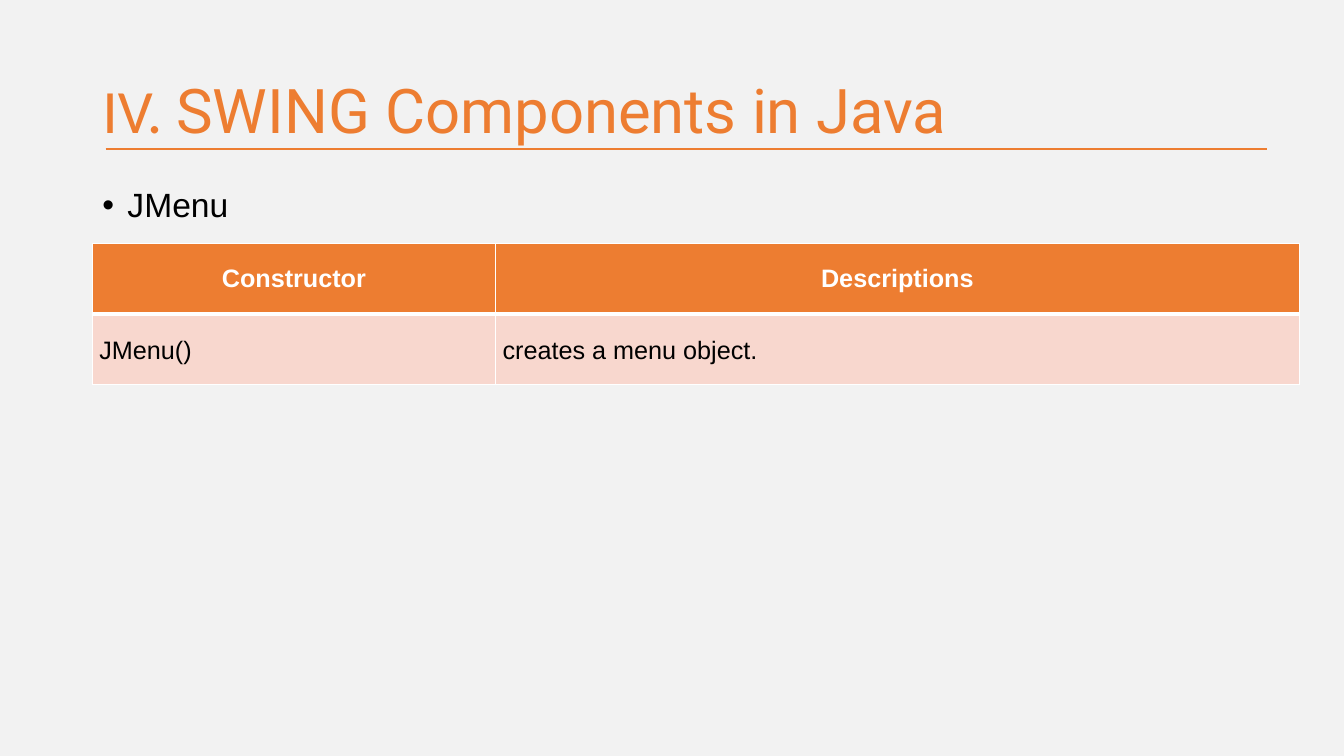
from lxml.etree import SubElement
from pptx import Presentation
from pptx.dml.color import RGBColor
from pptx.enum.shapes import MSO_CONNECTOR as Connector
from pptx.enum.text import MSO_ANCHOR as Anchor, MSO_AUTO_SIZE as AutoSize, PP_ALIGN as Align
from pptx.oxml.ns import qn
from pptx.util import Pt

ORANGE = RGBColor(0xED, 0x7D, 0x31)
PEACH = RGBColor(0xF8, 0xD7, 0xCE)
PALE_GRAY = RGBColor(0xF2, 0xF2, 0xF2)
WHITE = RGBColor(0xFF, 0xFF, 0xFF)
BLACK = RGBColor(0, 0, 0)

ROWS = [
    ["Constructor", "Descriptions"],
    ["JMenu()", "creates a menu object."],
]


def write(para, text, font="Arial", size=18, color=BLACK, bold=False,
          align=Align.LEFT, spacing=1.0):
    para.alignment = align
    para.line_spacing = spacing
    span = para.add_run()
    span.text = text
    span.font.name = font
    span.font.size = Pt(size)
    span.font.bold = bold
    span.font.color.rgb = color


def add_title(page, left, top, width, height):
    box = page.shapes.title
    box.left, box.top, box.width, box.height = map(Pt, (left, top, width, height))
    frame = box.text_frame
    frame.vertical_anchor = Anchor.MIDDLE
    frame.auto_size = AutoSize.NONE
    para = frame.paragraphs[0]
    for text, font in (("IV. ", "Calibri"), ("SWING Components in Java", "Roboto")):
        write(para, text, font=font, size=44, color=ORANGE, spacing=0.9)

    # Rule under the title
    rule_top = top + 77.8
    rule = page.shapes.add_connector(Connector.STRAIGHT, Pt(left + 9.4), Pt(rule_top),
                                     Pt(left + width + 10.8), Pt(rule_top))
    rule.line.color.rgb = ORANGE
    rule.line.width = Pt(1.5)
    SubElement(rule._element.spPr, qn("a:effectLst"))


def add_bullets(page, left, top, width, height, items):
    box = page.shapes.add_textbox(Pt(left), Pt(top), Pt(width), Pt(height))
    frame = box.text_frame
    frame.word_wrap = True
    for index, item in enumerate(items):
        para = frame.add_paragraph() if index else frame.paragraphs[0]
        write(para, item, size=24, spacing=1.5)
        para.space_before = Pt(10)
        props = para._p.get_or_add_pPr()
        props.set("marL", str(Pt(18)))
        props.set("indent", str(Pt(-18)))
        SubElement(props, qn("a:buFont"), typeface="Arial")
        SubElement(props, qn("a:buChar"), char="•")


def add_borders(cell, **widths):
    props = cell._tc.get_or_add_tcPr()
    for side in "LRTB":
        line = SubElement(props, qn(f"a:ln{side}"), w=str(Pt(widths.get(side, 1))))
        fill = SubElement(line, qn("a:solidFill"))
        SubElement(fill, qn("a:srgbClr"), val=str(WHITE))


def add_constructor_table(page, left, top, width, row_height, first_width):
    frame = page.shapes.add_table(len(ROWS), 2, Pt(left), Pt(top),
                                  Pt(width), Pt(row_height * len(ROWS)))
    table = frame.table
    table.columns[0].width = Pt(first_width)
    table.columns[1].width = Pt(width - first_width)
    for row_index, texts in enumerate(ROWS):
        table.rows[row_index].height = Pt(row_height)
        header = row_index == 0
        for column, text in enumerate(texts):
            cell = table.cell(row_index, column)
            cell.vertical_anchor = Anchor.MIDDLE
            para = cell.text_frame.paragraphs[0]
            if header:
                write(para, text, color=WHITE, bold=True, align=Align.CENTER)
                add_borders(cell, B=3)
            else:
                cell.margin_left = cell.margin_right = Pt(5)
                cell.margin_top = cell.margin_bottom = Pt(0)
                write(para, text, spacing=1.07)
                add_borders(cell, T=3 if row_index == 1 else 1)
            cell.fill.solid()
            cell.fill.fore_color.rgb = ORANGE if header else PEACH


def main():
    deck = Presentation()
    deck.slide_width, deck.slide_height = Pt(960), Pt(540)
    page = deck.slides.add_slide(deck.slide_layouts[5])
    page.background.fill.solid()
    page.background.fill.fore_color.rgb = PALE_GRAY

    left, width = 66, 828
    add_title(page, left, 28.75, width, 104.4)
    add_bullets(page, left, 113.75, width, 411, ["JMenu"])
    add_constructor_table(page, left, 174, 862, 50.4, 288)
    deck.save("out.pptx")


if __name__ == "__main__":
    main()
